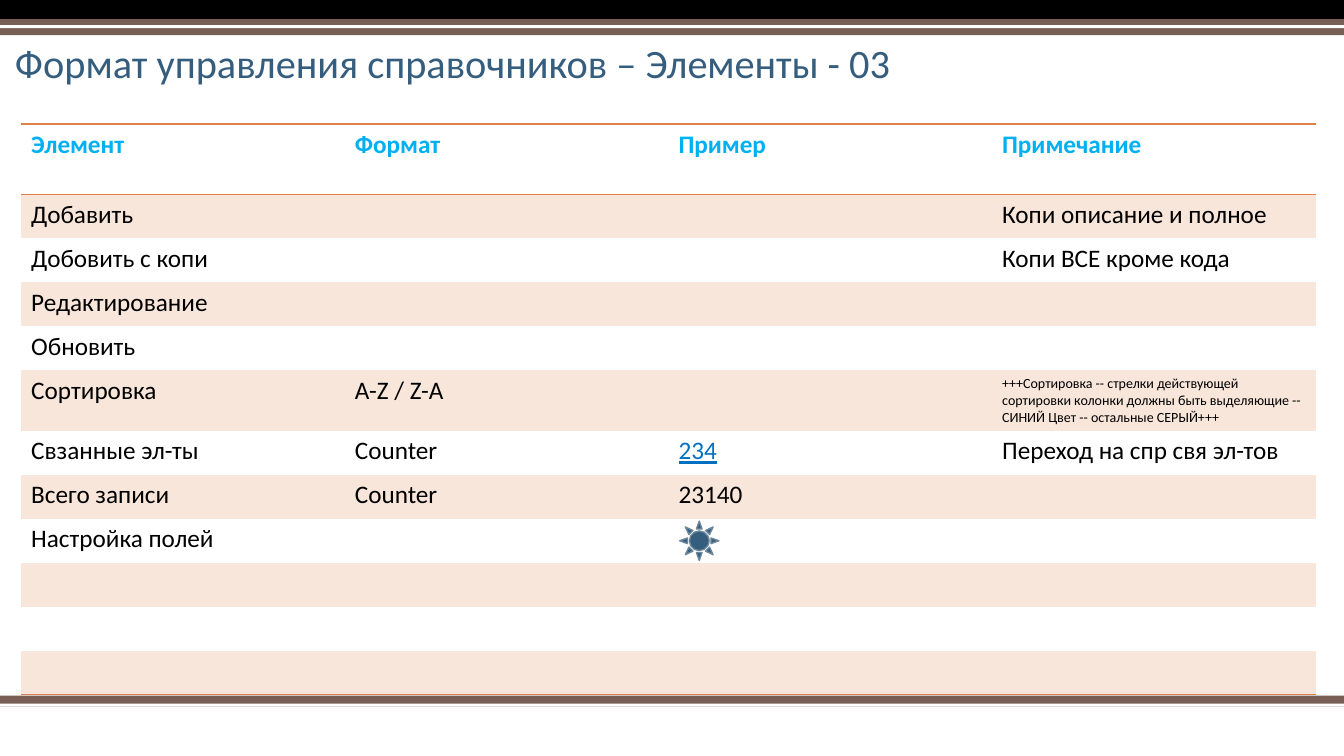
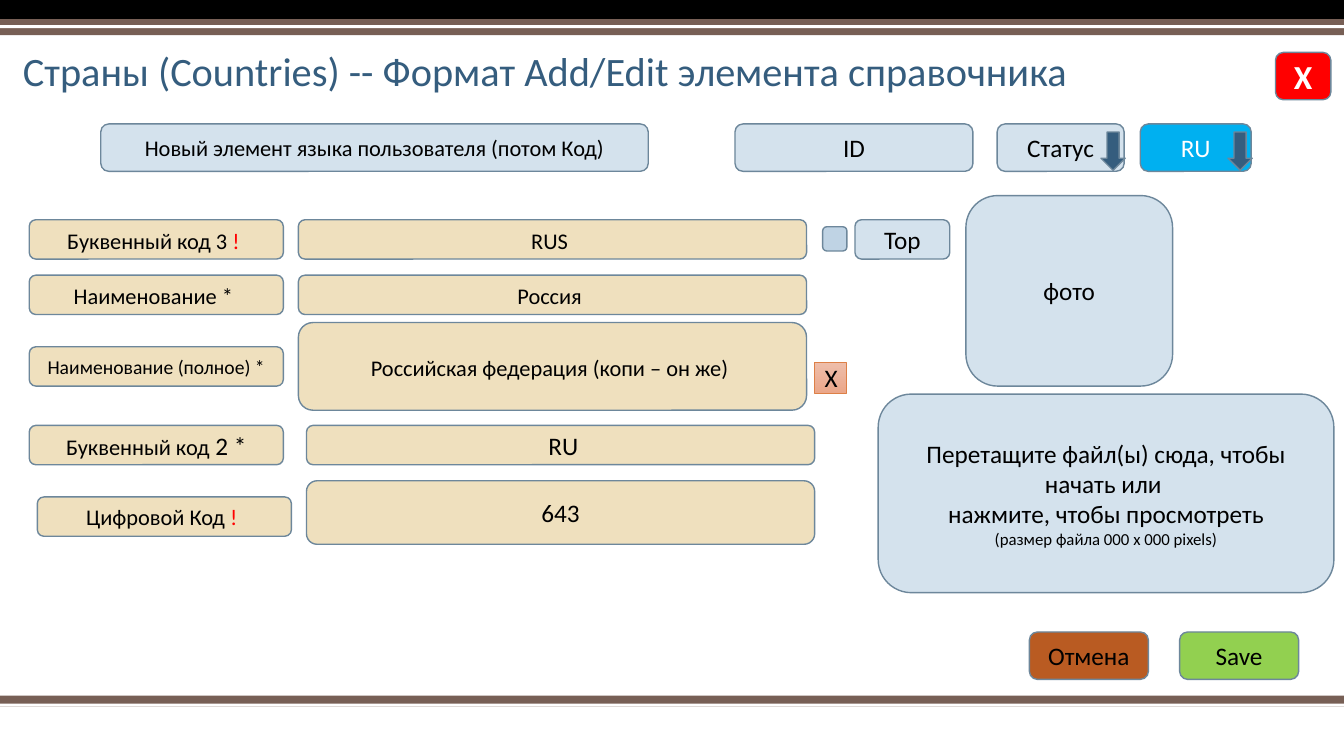
from lxml import etree
from pptx import Presentation
from pptx.dml.color import RGBColor
from pptx.enum.shapes import MSO_SHAPE
from pptx.enum.text import MSO_ANCHOR, PP_ALIGN
from pptx.oxml.ns import qn
from pptx.util import Inches, Pt

RECTANGLE = MSO_SHAPE.RECTANGLE
ROUNDED = MSO_SHAPE.ROUNDED_RECTANGLE
SUN = MSO_SHAPE.SUN
DOWN_ARROW = MSO_SHAPE.DOWN_ARROW
MIDDLE = MSO_ANCHOR.MIDDLE
BOTTOM = MSO_ANCHOR.BOTTOM
CENTER = PP_ALIGN.CENTER

THEME = {
    "font": "Calibri",
    "title": "355D7E",
    "outline": "6D879B",
    "brown": "775F55",
    "black": "000000",
    "white": "FFFFFF",
    "red": "FF0000",
    "orange": "DD8047",
    "stripe": "F8E6DA",
    "cyan": "00B0F0",
    "link": "0070C0",
    "blue": "D4E2ED",
    "checkbox": "BFD3E4",
    "sand": "EFE0BE",
    "rust": "B95B22",
    "green": "92D050",
    "clear_top": "EEBEAA",
    "clear_bottom": "EBA78A",
    "title_size": 28.8,
    "close_size": 24,
    "body_size": 18,
    "field_size": 16,
    "label_size": 14,
    "hint_size": 12,
    "note_size": 10,
}
BODY = THEME["body_size"]
FIELD = THEME["field_size"]
NO_TABLE_STYLE = "{2D5ABB26-0587-4C30-8999-92F81FD0307C}"


def write(paragraph, text, size=BODY, color="black", bold=False, underline=False):
    run = paragraph.add_run()
    run.text = text
    formats = {"name": THEME["font"], "size": Pt(size), "bold": bold, "underline": underline}
    for name, value in formats.items():
        setattr(run.font, name, value)
    run.font.color.rgb = RGBColor.from_string(THEME[color])


def add_box(slide, kind, place, fill, outline="outline", paragraphs=()):
    shape = slide.shapes.add_shape(kind, *[Inches(length) for length in place])
    shape.shadow.inherit = False
    shape.fill.solid()
    shape.fill.fore_color.rgb = RGBColor.from_string(THEME[fill])
    if outline:
        shape.line.color.rgb = RGBColor.from_string(THEME[outline])
        shape.line.width = Pt(1)
    else:
        shape.line.fill.background()
    frame = shape.text_frame
    frame.word_wrap = True
    frame.vertical_anchor = MIDDLE
    for index, runs in enumerate(paragraphs):
        paragraph = frame.add_paragraph() if index else frame.paragraphs[0]
        paragraph.alignment = CENTER
        for run in runs:
            write(paragraph, *run)
    return shape


presentation = Presentation()
presentation.slide_width = Inches(13.33)
presentation.slide_height = Inches(7.5)

bands = [
    (6.9, 0.11, "brown"),
    (6.98, 0.03, "white"),
    (0, 0.19, "black"),
    (0.19, 0.16, "brown"),
    (0.25, 0.03, "white"),
]
titles = [
    ("Формат управления справочников – Элементы - 03", 0.05, 11.61, 0.55),
    ("Страны (Countries) -- Формат Add/Edit элемента справочника", 0.13, 11.54, 0.63),
]
for text, left, width, height in titles:
    slide = presentation.slides.add_slide(presentation.slide_layouts[6])
    for top, band_height, color in bands:
        add_box(slide, RECTANGLE, (0, top, 13.33, band_height), color, None)
    title = slide.shapes.add_textbox(Inches(left), Inches(0.36), Inches(width), Inches(height))
    title.text_frame.word_wrap = True
    title.text_frame.vertical_anchor = BOTTOM
    paragraph = title.text_frame.paragraphs[0]
    paragraph.line_spacing = 0.9
    write(paragraph, text, THEME["title_size"], "title")

elements_slide, form_slide = presentation.slides

sort_note = (
    "+++Сортировка -- стрелки действующей сортировки колонки должны быть "
    "выделяющие -- СИНИЙ Цвет -- остальные СЕРЫЙ+++"
)
rows = [
    ("Элемент", "Формат", "Пример", "Примечание"),
    ("Добавить", "", "", "Копи описание и полное"),
    ("Добовить с копи", "", "", "Копи ВСЕ кроме кода"),
    ("Редактирование", "", "", ""),
    ("Обновить", "", "", ""),
    ("Сортировка", "A-Z / Z-A", "", sort_note),
    ("Свзанные эл-ты", "Counter", "234", "Переход на спр свя эл-тов"),
    ("Всего записи", "Counter", "23140", ""),
    ("Настройка полей", "", "", ""),
    ("", "", "", ""),
    ("", "", "", ""),
    ("", "", "", ""),
]
special_formats = {
    sort_note: {"size": THEME["note_size"]},
    "234": {"color": "link", "underline": True},
}
table_height, header_height, sort_height, sort_row = 5.66, 0.7, 0.6, 5
row_height = (table_height - header_height - sort_height) / (len(rows) - 2)
heights = {0: header_height, sort_row: sort_height}
borders = {0: ("a:lnT", "a:lnB"), len(rows) - 1: ("a:lnB",)}

table = elements_slide.shapes.add_table(
    len(rows), 4, Inches(0.21), Inches(1.23), Inches(12.84), Inches(table_height)
).table
table.first_row = False
table.horz_banding = False
table._tbl.tblPr.find(qn("a:tableStyleId")).text = NO_TABLE_STYLE
for row_index, texts in enumerate(rows):
    table.rows[row_index].height = Inches(heights.get(row_index, row_height))
    for column_index, text in enumerate(texts):
        cell = table.cell(row_index, column_index)
        for tag in borders.get(row_index, ()):
            border = etree.SubElement(cell._tc.get_or_add_tcPr(), qn(tag), w=str(Pt(1)))
            border_fill = etree.SubElement(border, qn("a:solidFill"))
            etree.SubElement(border_fill, qn("a:srgbClr"), val=THEME["orange"])
        if row_index % 2:
            cell.fill.solid()
            cell.fill.fore_color.rgb = RGBColor.from_string(THEME["stripe"])
        else:
            cell.fill.background()
        if text:
            header = {"color": "cyan", "bold": True} if row_index == 0 else {}
            write(cell.text_frame.paragraphs[0], text, **header, **special_formats.get(text, {}))
add_box(elements_slide, SUN, (6.74, 5.17, 0.39, 0.39), "title")

small_space = (" ", BODY)
label_left, label_width, value_width, field_height = 0.29, 2.52, 5.04, 0.39
fields = [
    (label_left, 2.18, label_width, field_height,
     [("Буквенный код 3 ", FIELD), ("!", FIELD, "red"), small_space]),
    (2.96, 2.18, value_width, field_height, [("RUS", FIELD), small_space]),
    (label_left, 2.73, label_width, field_height, [("Наименование *", FIELD), small_space]),
    (2.96, 2.73, value_width, field_height, [("Россия", FIELD), small_space]),
    (label_left, 3.44, label_width, field_height,
     [("Наименование (полное) *", THEME["label_size"])]),
    (2.96, 3.2, value_width, 0.87,
     [("Российская федерация (копи – он же)", FIELD), small_space]),
    (label_left, 4.22, label_width, field_height, [("Буквенный код", FIELD), (" 2 *", BODY)]),
    (3.04, 4.22, value_width, field_height, [(" RU",)]),
    (0.37, 4.93, label_width, field_height,
     [("Цифровой Код ", FIELD), ("! ", FIELD, "red")]),
    (3.04, 4.77, value_width, 0.63, [("643",)]),
]
for *place, runs in fields:
    add_box(form_slide, ROUNDED, place, "sand", paragraphs=[runs])

drop_lines = [
    [("Перетащите файл(ы) сюда, чтобы начать или ",)],
    [("нажмите, чтобы просмотреть",)],
    [("(размер файла 000 x 000 pixels)", THEME["hint_size"])],
]
controls = [
    (1, 1.23, 5.43, 0.47, "blue", [[("Новый элемент языка пользователя (потом Код)", FIELD)]]),
    (7.29, 1.23, 2.36, 0.47, "blue", [[("ID",)]]),
    (9.89, 1.23, 1.26, 0.47, "blue", [[("Статус",)]]),
    (11.31, 1.23, 1.1, 0.47, "cyan", [[("RU", BODY, "white")]]),
    (12.65, 0.52, 0.55, 0.47, "red", [[("Х", THEME["close_size"], "white", True)]]),
    (8.16, 2.25, 0.24, 0.24, "checkbox", []),
    (8.48, 2.18, 0.94, 0.39, "blue", [[("Тор",)]]),
    (9.58, 1.94, 2.05, 1.89, "blue", [[("фото",)]]),
    (8.71, 3.91, 4.52, 1.97, "blue", drop_lines),
    (10.21, 6.27, 1.18, 0.47, "rust", [[("Отмена",)]]),
    (11.7, 6.27, 1.18, 0.47, "green", [[("Save",)]]),
]
for *place, fill, paragraphs in controls:
    add_box(form_slide, ROUNDED, place, fill, paragraphs=paragraphs)

for left in (10.92, 12.18):
    add_box(form_slide, DOWN_ARROW, (left, 1.31, 0.24, 0.38), "title")

clear_button = add_box(
    form_slide, RECTANGLE, (8.08, 3.59, 0.31, 0.31), "clear_top", "orange", [[("X",)]]
)
clear_button.line.width = Pt(0.5)
clear_button.fill.gradient()
clear_button.fill.gradient_angle = 270
for stop, color in zip(clear_button.fill.gradient_stops, ("clear_top", "clear_bottom")):
    stop.color.rgb = RGBColor.from_string(THEME[color])

presentation.save("out.pptx")
